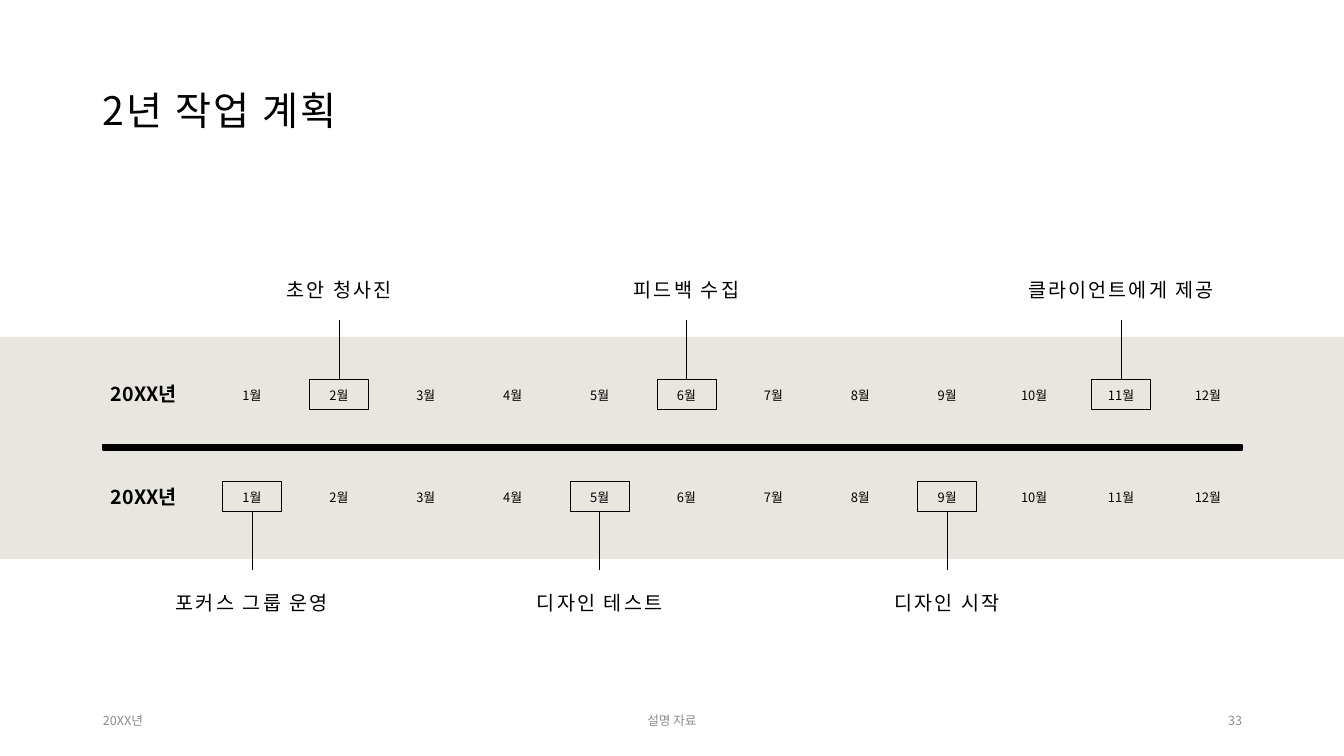
from dataclasses import dataclass

from lxml.etree import SubElement
from pptx import Presentation
from pptx.dml.color import RGBColor
from pptx.enum.shapes import MSO_CONNECTOR, MSO_SHAPE
from pptx.enum.text import MSO_ANCHOR, PP_ALIGN
from pptx.oxml.ns import qn
from pptx.util import Pt

# Content
TITLE = "2년 작업 계획"
YEARS = [
    {"name": "20XX년", "above": True,
     "events": {2: "초안 청사진", 6: "피드백 수집", 11: "클라이언트에게 제공"}},
    {"name": "20XX년", "above": False,
     "events": {1: "포커스 그룹 운영", 5: "디자인 테스트", 9: "디자인 시작"}},
]
FOOTER = [
    ("20XX년", 93, 302, PP_ALIGN.LEFT),
    ("설명 자료", 445, 454, PP_ALIGN.CENTER),
    ("33", 950, 302, PP_ALIGN.RIGHT),
]


@dataclass(frozen=True)
class Theme:
    font: str = "Noto Sans CJK KR"
    ink: str = "000000"
    band: str = "E9E6DF"
    mute: str = "8C8C8C"
    title: float = 28
    body: float = 14
    month: float = 9.2
    foot: float = 9
    hair: float = 0.5
    rule: float = 1


THEME = Theme()

# Layout in px
SCALE = 914400 / 100.8
WIDE, HIGH = 1344, 756
FIRST, LAST = 252, 1208
MONTH_W, MONTH_H = 70, 22
BOX_W, BOX_H = 59, 30
STEM = 59
CALL_W, CALL_H = 227, 61
# Tops of year label, months, boxes and callouts in each row
ROWS = [(370, 386, 379, 245), (473, 488, 481, 574)]


def px(*sizes):
    return [round(size * SCALE) for size in sizes]


def color(code):
    return RGBColor.from_string(code)


def add_text(slide, text, place, size, tint=THEME.ink, align=PP_ALIGN.LEFT,
             anchor=MSO_ANCHOR.MIDDLE, lead=1.0, before=0, bold=False, track=0):
    frame = slide.shapes.add_textbox(*px(*place)).text_frame
    frame.word_wrap = True
    frame.vertical_anchor = anchor
    frame.text = text
    para = frame.paragraphs[0]
    para.alignment = align
    para.line_spacing = lead
    para.space_before = Pt(before)
    run = para.runs[0]
    font = run.font
    font.name, font.size, font.bold = THEME.font, Pt(size), bold
    font.color.rgb = color(tint)
    props = run._r.get_or_add_rPr()
    SubElement(props, qn("a:ea")).set("typeface", THEME.font)
    if track:
        props.set("spc", str(round(track * 100)))


def add_rect(slide, place, fill=None, line=None):
    rect = slide.shapes.add_shape(MSO_SHAPE.RECTANGLE, *px(*place))
    rect.shadow.inherit = False
    if fill:
        rect.fill.solid()
        rect.fill.fore_color.rgb = color(fill)
    else:
        rect.fill.background()
    if line:
        rect.line.color.rgb = color(THEME.ink)
        rect.line.width = Pt(line)
    else:
        rect.line.fill.background()
    return rect


def add_stem(slide, box, mid, start, end, site):
    stem = slide.shapes.add_connector(
        MSO_CONNECTOR.STRAIGHT, *px(mid, start, mid, end))
    stem.end_connect(box, site)
    stem.line.color.rgb = color(THEME.ink)
    stem.line.width = Pt(THEME.hair)
    SubElement(stem._element.spPr, qn("a:effectLst"))


def add_event(slide, text, mid, box_y, call_y, above):
    box = add_rect(slide, (mid - BOX_W / 2, box_y, BOX_W, BOX_H), line=THEME.hair)
    if above:
        add_stem(slide, box, mid, box_y - STEM, box_y, 0)
    else:
        edge = box_y + BOX_H
        add_stem(slide, box, mid, edge + STEM, edge, 2)
    add_text(slide, text, (mid - CALL_W / 2, call_y, CALL_W, CALL_H), THEME.body,
             align=PP_ALIGN.CENTER, lead=1.5, before=10, track=1.5,
             anchor=MSO_ANCHOR.BOTTOM if above else MSO_ANCHOR.TOP)


def add_year(slide, year, row):
    name_y, month_y, box_y, call_y = row
    add_text(slide, year["name"], (101, name_y, 99, 50), THEME.body,
             lead=0.9, before=10, bold=True)
    for month in range(1, 13):
        mid = FIRST + (month - 1) * (LAST - FIRST) / 11
        add_text(slide, f"{month}월",
                 (mid - MONTH_W / 2, month_y, MONTH_W, MONTH_H), THEME.month,
                 align=PP_ALIGN.CENTER, anchor=MSO_ANCHOR.TOP, lead=0.8, before=10)
        if month in year["events"]:
            add_event(slide, year["events"][month], mid, box_y, call_y, year["above"])


def main():
    deck = Presentation()
    deck.slide_width, deck.slide_height = px(WIDE, HIGH)
    slide = deck.slides.add_slide(deck.slide_layouts[6])

    # Band and dividing rule
    add_rect(slide, (0, 337, WIDE, 222), fill=THEME.band)
    add_rect(slide, (103, 445, 1139, 5), fill=THEME.ink, line=THEME.rule)

    # Title
    add_text(slide, TITLE, (93, 40, 1159, 146), THEME.title, lead=0.9, track=1.5)

    # Two years of months
    for year, row in zip(YEARS, ROWS):
        add_year(slide, year, row)

    # Footer
    for text, left, width, align in FOOTER:
        add_text(slide, text, (left, 701, width, 40), THEME.foot, THEME.mute, align)

    deck.save("out.pptx")


if __name__ == "__main__":
    main()
